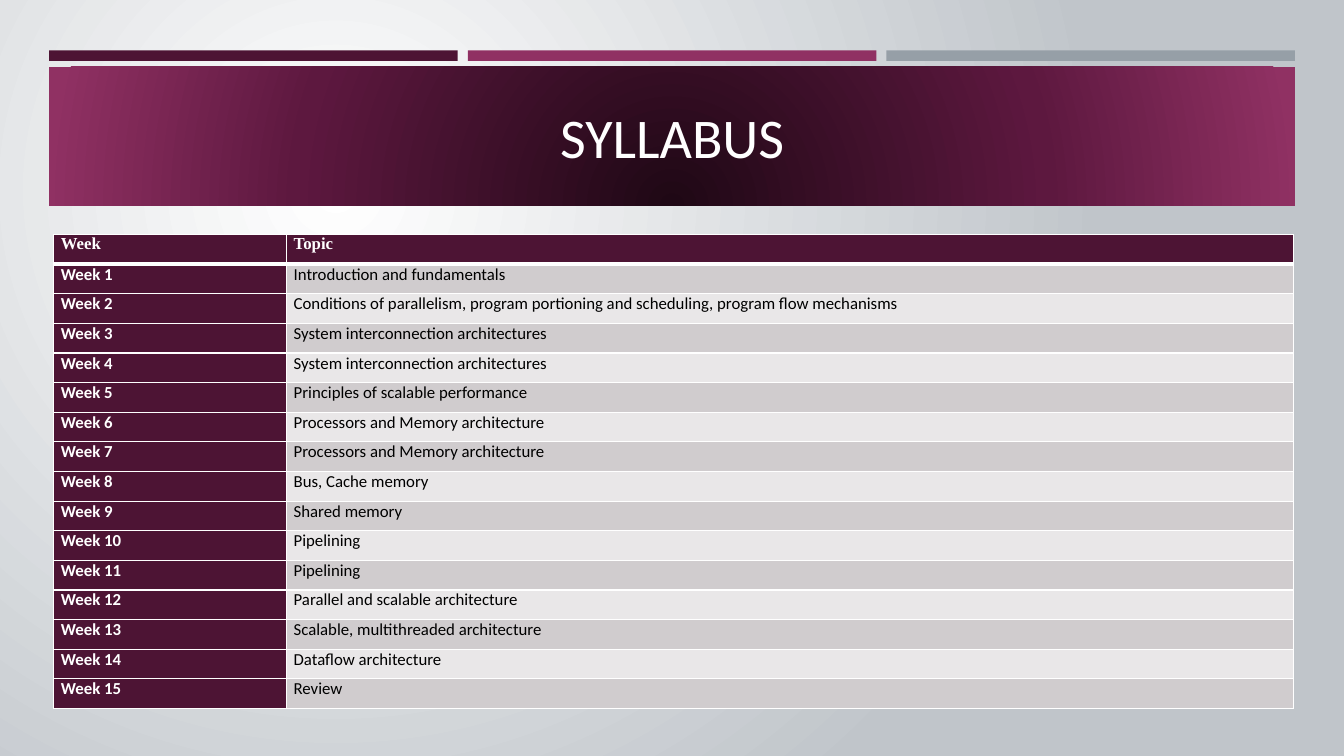
from lxml import etree
from pptx import Presentation
from pptx.dml.color import RGBColor
from pptx.enum.shapes import MSO_SHAPE
from pptx.enum.text import MSO_ANCHOR, PP_ALIGN
from pptx.oxml.ns import qn
from pptx.util import Pt

RECTANGLE = MSO_SHAPE.RECTANGLE
MIDDLE = MSO_ANCHOR.MIDDLE
CENTER = PP_ALIGN.CENTER

COLORS = {
    "plum": "4D1434",
    "magenta": "903163",
    "slate": "969FA7",
    "white": "FFFFFF",
    "black": "000000",
    "mist": "C0C5CA",
    "night": "1F0815",
    "wine": "5D183F",
    "band_dark": "D0CCCE",
    "band_light": "E9E7E8",
}
TOPICS = [
    "Introduction and fundamentals",
    "Conditions of parallelism, program portioning and scheduling, program flow mechanisms",
    "System interconnection architectures",
    "System interconnection architectures",
    "Principles of scalable performance",
    "Processors and Memory architecture",
    "Processors and Memory architecture",
    "Bus, Cache memory",
    "Shared memory",
    "Pipelining",
    "Pipelining",
    "Parallel and scalable architecture",
    "Scalable, multithreaded architecture",
    "Dataflow architecture",
    "Review",
]


def rgb(name):
    return RGBColor.from_string(COLORS[name])


def apply_format(target, values):
    for name, value in values.items():
        setattr(target, name, value)


def write_text(para, text, color, **values):
    span = para.add_run()
    span.text = text
    apply_format(span.font, values)
    span.font.color.rgb = rgb(color)


def set_radial(fill, owner, stops, focus):
    fill.gradient()
    gradient = owner.find(".//" + qn("a:gradFill"))
    for child in list(gradient):
        gradient.remove(child)
    stop_list = etree.SubElement(gradient, qn("a:gsLst"))
    for percent, color in stops:
        stop = etree.SubElement(stop_list, qn("a:gs"), pos=str(percent * 1000))
        etree.SubElement(stop, qn("a:srgbClr"), val=COLORS[color])
    circle = etree.SubElement(gradient, qn("a:path"), path="circle")
    edges = {side: str(percent * 1000) for side, percent in zip("ltrb", focus)}
    etree.SubElement(circle, qn("a:fillToRect"), **edges)


def add_block(page, left, top, width, height):
    block = page.shapes.add_shape(RECTANGLE, Pt(left), Pt(top), Pt(width), Pt(height))
    block.shadow.inherit = False
    block.line.fill.background()
    return block


def add_stripes(page, left, top, width, height):
    gap = 7.2
    names = ["plum", "magenta", "slate"]
    stripe_width = (width - gap * (len(names) - 1)) / len(names)
    for index, name in enumerate(names):
        stripe_left = left + index * (stripe_width + gap)
        stripe = add_block(page, stripe_left, top, stripe_width, height)
        stripe.fill.solid()
        stripe.fill.fore_color.rgb = rgb(name)


def add_banner(page, left, top, width, height):
    banner = add_block(page, left, top, width, height)
    stops = [(0, "night"), (60, "wine"), (100, "magenta")]
    set_radial(banner.fill, banner.element, stops, (50, 130, 50, -30))
    inset = 10.8
    box = page.shapes.add_textbox(
        Pt(left + inset), Pt(top + inset), Pt(width - 2 * inset), Pt(height - 2 * inset))
    apply_format(box.text_frame, {"word_wrap": True, "vertical_anchor": MIDDLE})
    para = box.text_frame.paragraphs[0]
    para.alignment = CENTER
    write_text(para, "SYLLABUS", "white", size=Pt(40), name="Calibri")


def set_borders(cell, weights):
    properties = cell._tc.get_or_add_tcPr()
    for side, weight in zip("LRTB", weights):
        line = etree.SubElement(properties, qn("a:ln" + side), w=str(Pt(weight)))
        solid = etree.SubElement(line, qn("a:solidFill"))
        etree.SubElement(solid, qn("a:srgbClr"), val=COLORS["white"])


def add_syllabus(page, left, top, width, height):
    rows = [("Week", "Topic")]
    rows += [(f"Week {number}", topic) for number, topic in enumerate(TOPICS, 1)]
    frame = page.shapes.add_table(len(rows), 2, Pt(left), Pt(top), Pt(width), Pt(height))
    table = frame.table
    week_width = 166.3
    table.columns[0].width = Pt(week_width)
    table.columns[1].width = Pt(width - week_width)
    margins = {"margin_left": Pt(5.2), "margin_right": Pt(5.2),
               "margin_top": 0, "margin_bottom": 0}
    for row, texts in enumerate(rows):
        table.rows[row].height = Pt(height / len(rows))
        for column, text in enumerate(texts):
            cell = table.cell(row, column)
            apply_format(cell, margins)
            set_borders(cell, (1, 1, 3 if row == 1 else 1, 3 if row == 0 else 1))
            heading = row == 0 or column == 0
            band = "band_dark" if row % 2 else "band_light"
            cell.fill.solid()
            cell.fill.fore_color.rgb = rgb("plum" if heading else band)
            write_text(cell.text_frame.paragraphs[0], text,
                       "white" if heading else "black", size=Pt(12), bold=heading,
                       name="Calibri" if row else "Times New Roman")


def build_syllabus_slide(deck):
    page = deck.slides.add_slide(deck.slide_layouts[6])
    stops = [(0, "white"), (100, "mist")]
    set_radial(page.background.fill, page.element, stops, (50, 50, 100, 100))
    add_stripes(page, 35.2, 36, 889.8, 7.5)
    add_banner(page, 35.2, 47.6, 889.8, 99.4)
    add_syllabus(page, 38.3, 167.6, 885.6, 338.4)


def main():
    deck = Presentation()
    deck.slide_width = Pt(960)
    deck.slide_height = Pt(540)
    build_syllabus_slide(deck)
    deck.save("out.pptx")


if __name__ == "__main__":
    main()
